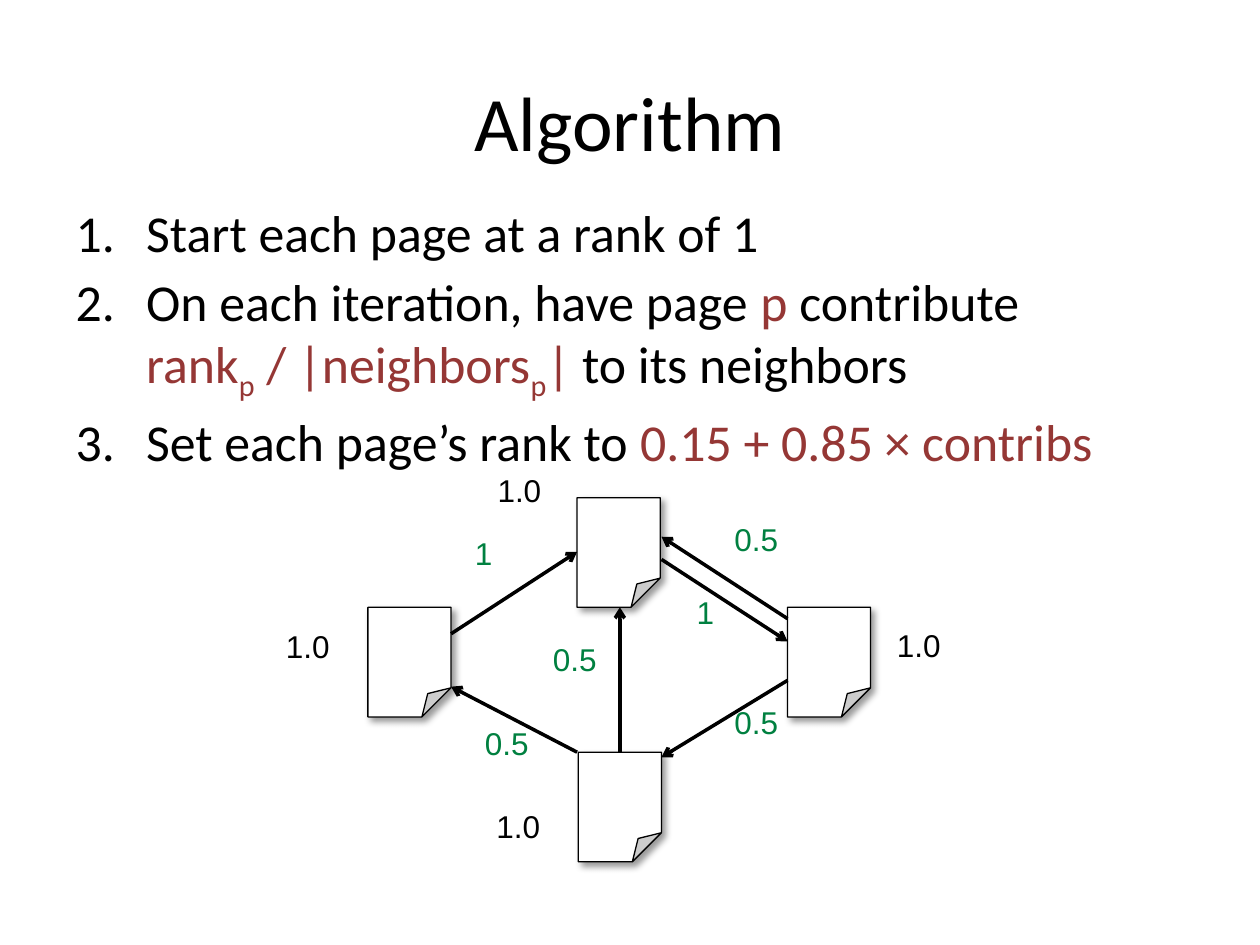
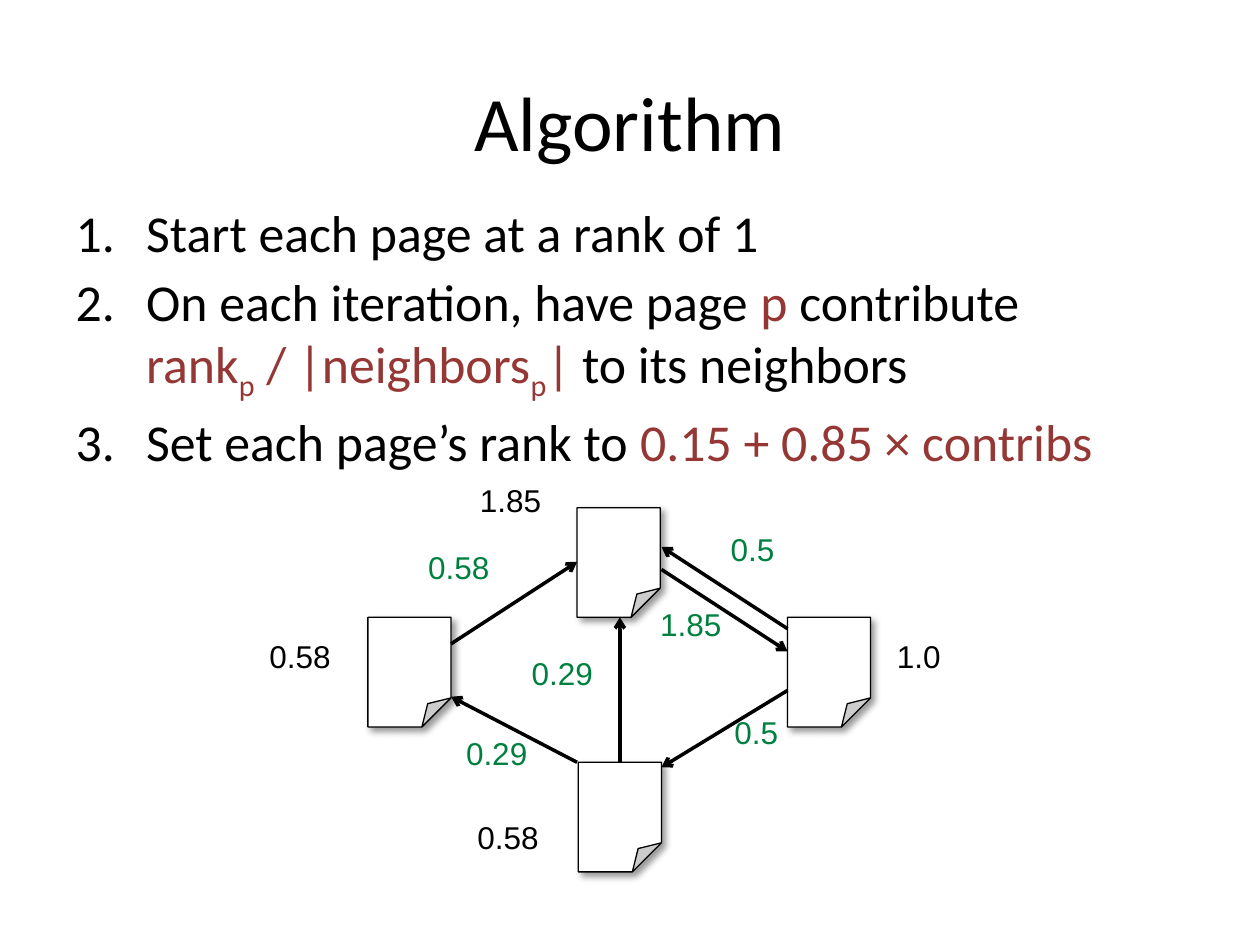
from dataclasses import dataclass
from typing import Any

from lxml.etree import SubElement
from pptx import Presentation
from pptx.dml.color import RGBColor
from pptx.enum.shapes import MSO_CONNECTOR, MSO_SHAPE
from pptx.enum.text import MSO_ANCHOR, MSO_AUTO_SIZE, PP_ALIGN
from pptx.oxml.ns import qn
from pptx.util import Inches, Pt

COLORS = {"ink": "000000", "paper": "FFFFFF", "formula": "953735", "contribution": "008040"}
TITLE_FONT = {"name": "Calibri", "size": Pt(44)}
BODY_FONT = {"name": "Calibri", "size": Pt(29.6)}
LABEL_FONT = {"name": "Arial", "size": Pt(18)}
TITLE_BOX = (0.5, 0.33, 9, 1.25)
BODY_BOX = (0.5, 1.54, 9, 2.19)

PAGE_WIDTH, PAGE_HEIGHT = 0.66, 0.87
DIAGRAM_TOP = 3.95


@dataclass(frozen=True)
class TextPart:
    text: str
    color: str = "ink"
    subscript: bool = False


@dataclass(frozen=True)
class Label:
    """A number; top is measured from the top of the diagram."""
    text: str
    left: float
    top: float
    color: str = "ink"


@dataclass(frozen=True)
class Step:
    diagram_top: float
    labels: tuple[Label, ...]


ALGORITHM = (
    (TextPart("Start each page at a rank of 1"),),
    (
        TextPart("On each iteration, have page "),
        TextPart("p", "formula"),
        TextPart(" contribute"),
        TextPart("\n"),
        TextPart("rank", "formula"),
        TextPart("p", "formula", True),
        TextPart(" / |neighbors", "formula"),
        TextPart("p", "formula", True),
        TextPart("|", "formula"),
        TextPart(" to its neighbors"),
    ),
    (TextPart("Set each page’s rank to "), TextPart("0.15 + 0.85 × contribs", "formula")),
)

# Offsets from the top of the diagram: left, top, right and bottom page.
PAGES = ((2.92, 0.87), (4.58, 0), (6.25, 0.87), (4.59, 2.02))
# Each link runs from its source page to the arrowhead.
LINKS = (
    ((4.58, 2.02), (3.58, 1.5)),
    ((4.92, 2.02), (4.92, 0.87)),
    ((3.58, 1.08), (4.58, 0.43)),
    ((6.25, 0.96), (5.25, 0.31)),
    ((5.25, 0.49), (6.25, 1.14)),
    ((6.25, 1.45), (5.25, 2.06)),
)

STEPS = (
    Step(DIAGRAM_TOP, (
        Label("1.0", 2.17, 0.98),
        Label("1.0", 7.02, 0.97),
        Label("1.0", 3.85, -0.26),
        Label("1.0", 3.84, 2.41),
        Label("1", 3.67, 0.24, "contribution"),
        Label("0.5", 3.75, 1.75, "contribution"),
        Label("0.5", 4.29, 1.08, "contribution"),
        Label("0.5", 5.73, 0.13, "contribution"),
        Label("1", 5.43, 0.71, "contribution"),
        Label("0.5", 5.73, 1.58, "contribution"),
    )),
    Step(DIAGRAM_TOP + 0.08, (
        Label("0.58", 2.04, 0.98),
        Label("1.0", 7.02, 0.98),
        Label("1.85", 3.71, -0.26),
        Label("0.58", 3.69, 2.41),
        Label("0.58", 3.3, 0.27, "contribution"),
        Label("0.29", 3.6, 1.75, "contribution"),
        Label("0.29", 4.12, 1.11, "contribution"),
        Label("0.5", 5.7, 0.13, "contribution"),
        Label("1.85", 5.14, 0.72, "contribution"),
        Label("0.5", 5.73, 1.58, "contribution"),
    )),
)


def rgb(color: str) -> RGBColor:
    return RGBColor.from_string(COLORS[color])


def set_values(target: Any, values: dict[str, Any]) -> None:
    for name, value in values.items():
        setattr(target, name, value)


def place(shape: Any, box: tuple[float, ...]) -> None:
    set_values(shape, dict(zip(("left", "top", "width", "height"), map(Inches, box))))


def add_run(paragraph: Any, part: TextPart, font_values: dict[str, Any]) -> None:
    run = paragraph.add_run()
    run.text = part.text
    set_values(run.font, font_values)
    run.font.color.rgb = rgb(part.color)
    if part.subscript:
        run._r.get_or_add_rPr().set("baseline", "-25000")


def fill_title(title: Any) -> None:
    place(title, TITLE_BOX)
    title.text_frame.vertical_anchor = MSO_ANCHOR.MIDDLE
    paragraph = title.text_frame.paragraphs[0]
    paragraph.alignment = PP_ALIGN.CENTER
    add_run(paragraph, TextPart("Algorithm"), TITLE_FONT)


def fill_algorithm(body: Any) -> None:
    place(body, BODY_BOX)
    frame = body.text_frame
    frame.auto_size = MSO_AUTO_SIZE.NONE
    for index, parts in enumerate(ALGORITHM):
        paragraph = frame.add_paragraph() if index else frame.paragraphs[0]
        paragraph.space_before = Pt(4)
        properties = paragraph._p.get_or_add_pPr()
        properties.set("marL", str(Inches(0.56)))
        properties.set("indent", str(Inches(-0.56)))
        SubElement(properties, qn("a:buFont"), typeface="+mj-lt")
        SubElement(properties, qn("a:buAutoNum"), type="arabicPeriod")
        for part in parts:
            if part.text == "\n":
                paragraph.add_line_break()
            else:
                add_run(paragraph, part, BODY_FONT)


def add_page(slide: Any, left: float, top: float) -> None:
    page = slide.shapes.add_shape(
        MSO_SHAPE.FOLDED_CORNER, *map(Inches, (left, top, PAGE_WIDTH, PAGE_HEIGHT)))
    properties = page._element.spPr
    fold = properties.find(qn("a:prstGeom")).get_or_add_avLst()
    SubElement(fold, qn("a:gd"), name="adj", fmla="val 35000")
    page.fill.solid()
    page.fill.fore_color.rgb = rgb("paper")
    page.line.color.rgb = rgb("ink")
    page.line.width = Pt(0.75)
    page.shadow.inherit = False
    effects = properties.find(qn("a:effectLst"))
    shadow = SubElement(effects, qn("a:outerShdw"), blurRad=str(Pt(4)), dist=str(Pt(3)),
                        dir=str(45 * 60000), algn="tl", rotWithShape="0")
    shadow_color = SubElement(shadow, qn("a:srgbClr"), val=COLORS["ink"])
    SubElement(shadow_color, qn("a:alpha"), val="40000")


def add_link(slide: Any, start: tuple[float, float], end: tuple[float, float],
             diagram_top: float) -> None:
    (start_x, start_y), (end_x, end_y) = start, end
    link = slide.shapes.add_connector(
        MSO_CONNECTOR.STRAIGHT,
        *map(Inches, (start_x, diagram_top + start_y, end_x, diagram_top + end_y)))
    link.line.color.rgb = rgb("ink")
    link.line.width = Pt(2)
    SubElement(link.line._get_or_add_ln(), qn("a:tailEnd"), type="arrow")
    SubElement(link._element.spPr, qn("a:effectLst"))


def add_label(slide: Any, label: Label, diagram_top: float) -> None:
    """Draw a number in a box as wide as its digits, point and side margins."""
    points = label.text.count(".")
    width = 0.2 + 0.14 * (len(label.text) - points) + 0.07 * points
    box = slide.shapes.add_textbox(
        *map(Inches, (label.left, diagram_top + label.top, width, 0.4)))
    set_values(box.text_frame, {"word_wrap": False, "auto_size": MSO_AUTO_SIZE.SHAPE_TO_FIT_TEXT})
    add_run(box.text_frame.paragraphs[0], TextPart(label.text, label.color), LABEL_FONT)


def add_step(presentation: Any, step: Step) -> None:
    slide = presentation.slides.add_slide(presentation.slide_layouts[1])
    fill_title(slide.shapes.title)
    fill_algorithm(slide.placeholders[1])
    for left, top in PAGES:
        add_page(slide, left, step.diagram_top + top)
    for start, end in LINKS:
        add_link(slide, start, end, step.diagram_top)
    for label in step.labels:
        add_label(slide, label, step.diagram_top)


def main() -> None:
    presentation = Presentation()
    set_values(presentation, {"slide_width": Inches(10), "slide_height": Inches(7.5)})
    for step in STEPS:
        add_step(presentation, step)
    presentation.save("out.pptx")


if __name__ == "__main__":
    main()
